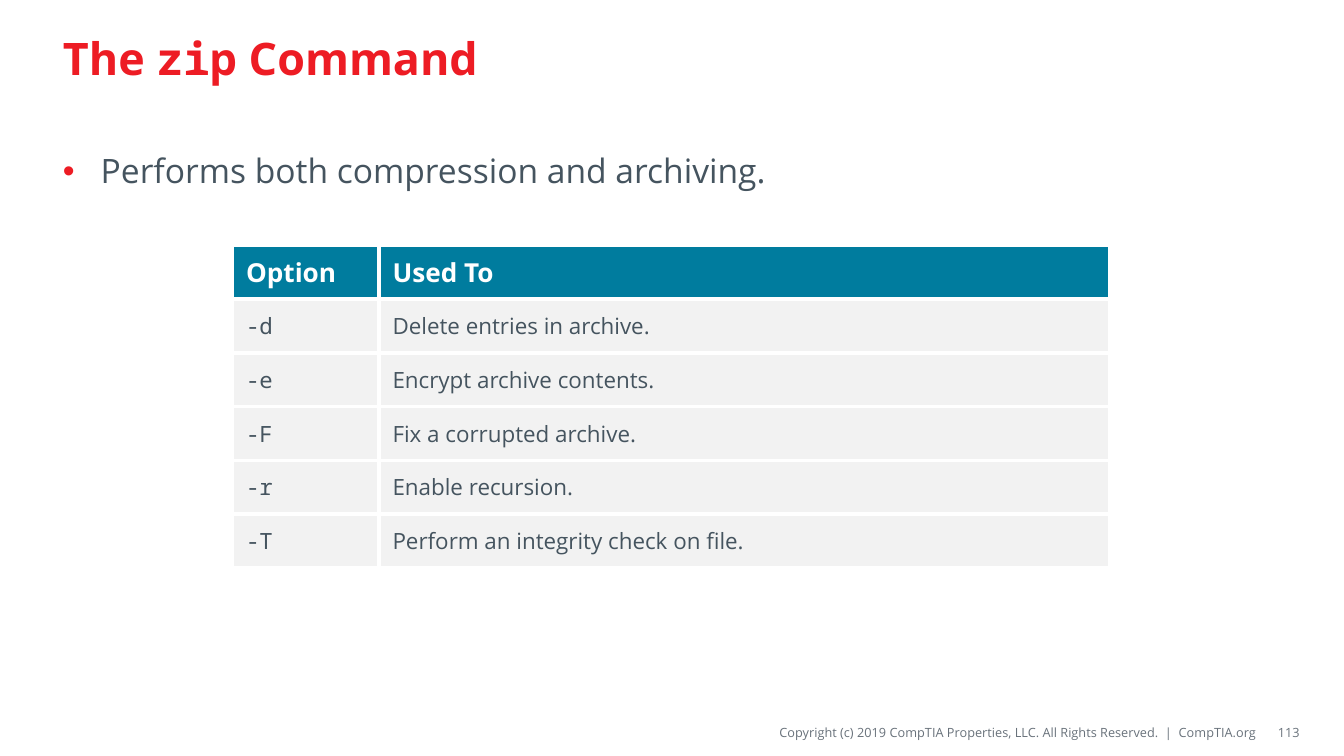
from dataclasses import dataclass

from lxml.etree import SubElement
from pptx import Presentation
from pptx.dml.color import RGBColor
from pptx.enum.text import MSO_ANCHOR, PP_ALIGN
from pptx.oxml.ns import qn
from pptx.util import Pt


@dataclass(frozen=True)
class Theme:
    sans: str = "Open Sans"
    mono: str = "Noto Sans Mono"
    red: str = "ED1C24"
    ink: str = "45545F"
    muted: str = "69727B"
    teal: str = "007C9E"
    pale: str = "F2F2F2"
    white: str = "FFFFFF"
    title: float = 24
    body: float = 18
    header: float = 14
    cell: float = 12
    footer: float = 6.8


T = Theme()

# Content
TITLE = [("The ", T.sans), ("zip", T.mono), (" Command", T.sans)]
BULLET = "Performs both compression and archiving."
HEADER = ("Option", "Used To")
OPTIONS = [
    ("-d", "Delete entries in archive."),
    ("-e", "Encrypt archive contents."),
    ("-F", "Fix a corrupted archive."),
    ("-r", "Enable recursion."),
    ("-T", "Perform an integrity check on file."),
]
COPYRIGHT = ("Copyright (c) 2019 CompTIA Properties, LLC. "
             "All Rights Reserved.  |  CompTIA.org")
PAGE = "113"

# Layout in points
SLIDE_W, SLIDE_H = 720, 405
LEFT, CONTENT_W = 26.64, 666
FOOT_TOP, FOOT_H = 384.5, 15.8
TABLE_LEFT, TABLE_TOP = 124.6, 131.4
COL_WIDTHS = (78.5, 391.7)
ROW_H = 28.8
BORDER = 2.25
INDENT = 20.2


def add_run(p, text, font, size, color, bold=False):
    r = p.add_run()
    r.text = text
    r.font.name = font
    r.font.size = Pt(size)
    r.font.bold = bold
    r.font.color.rgb = RGBColor.from_string(color)


def add_box(s, x, y, w, h, anchor, insets=(7.2, 3.6, 7.2, 3.6)):
    tf = s.shapes.add_textbox(Pt(x), Pt(y), Pt(w), Pt(h)).text_frame
    tf.word_wrap = True
    tf.vertical_anchor = anchor
    tf.margin_left, tf.margin_top, tf.margin_right, tf.margin_bottom = map(Pt, insets)
    return tf.paragraphs[0]


def add_bullet(p, color):
    pPr = p._p.get_or_add_pPr()
    pPr.set("marL", str(Pt(INDENT)))
    pPr.set("indent", str(-Pt(INDENT)))
    SubElement(SubElement(pPr, qn("a:buClr")), qn("a:srgbClr"), val=color)
    SubElement(pPr, qn("a:buFont"), typeface="Arial")
    SubElement(pPr, qn("a:buChar"), char="•")


def set_borders(cell, color):
    tcPr = cell._tc.get_or_add_tcPr()
    for i, side in enumerate(("lnL", "lnR", "lnT", "lnB")):
        ln = tcPr.makeelement(qn(f"a:{side}"), {"w": str(Pt(BORDER))})
        SubElement(SubElement(ln, qn("a:solidFill")), qn("a:srgbClr"), val=color)
        tcPr.insert(i, ln)  # borders precede the fill


def add_options_table(s):
    rows = [HEADER, *OPTIONS]
    table = s.shapes.add_table(
        len(rows), len(COL_WIDTHS), Pt(TABLE_LEFT), Pt(TABLE_TOP),
        Pt(sum(COL_WIDTHS)), Pt(ROW_H * len(rows))).table
    for column, width in zip(table.columns, COL_WIDTHS):
        column.width = Pt(width)
    for i, row in enumerate(rows):
        table.rows[i].height = Pt(ROW_H)
        head = i == 0
        for j, text in enumerate(row):
            cell = table.cell(i, j)
            cell.vertical_anchor = MSO_ANCHOR.MIDDLE
            cell.fill.solid()
            cell.fill.fore_color.rgb = RGBColor.from_string(T.teal if head else T.pale)
            set_borders(cell, T.white)
            add_run(cell.text_frame.paragraphs[0], text,
                    T.mono if j == 0 and not head else T.sans,
                    T.header if head else T.cell,
                    T.white if head else T.ink, head)


def main():
    prs = Presentation()
    prs.slide_width, prs.slide_height = Pt(SLIDE_W), Pt(SLIDE_H)
    s = prs.slides.add_slide(prs.slide_layouts[6])

    # Footer: copyright and page number
    for text, x, w, insets in (
        (COPYRIGHT, 279.4, 393.8, (0, 2.9, 0, 2.9)),
        (PAGE, 675.4, 20.9, (7.2, 3.6, 0, 3.6)),
    ):
        p = add_box(s, x, FOOT_TOP, w, FOOT_H, MSO_ANCHOR.MIDDLE, insets)
        p.alignment = PP_ALIGN.RIGHT
        add_run(p, text, T.sans, T.footer, T.muted)

    # Title
    p = add_box(s, LEFT, 5.8, CONTENT_W, 49.7, MSO_ANCHOR.MIDDLE)
    for text, font in TITLE:
        add_run(p, text, font, T.title, T.red, True)

    # Bullet
    p = add_box(s, LEFT, 77, CONTENT_W, 280.8, MSO_ANCHOR.TOP)
    add_bullet(p, T.red)
    add_run(p, BULLET, T.sans, T.body, T.ink)

    # Options table
    add_options_table(s)

    prs.save("out.pptx")


if __name__ == "__main__":
    main()
